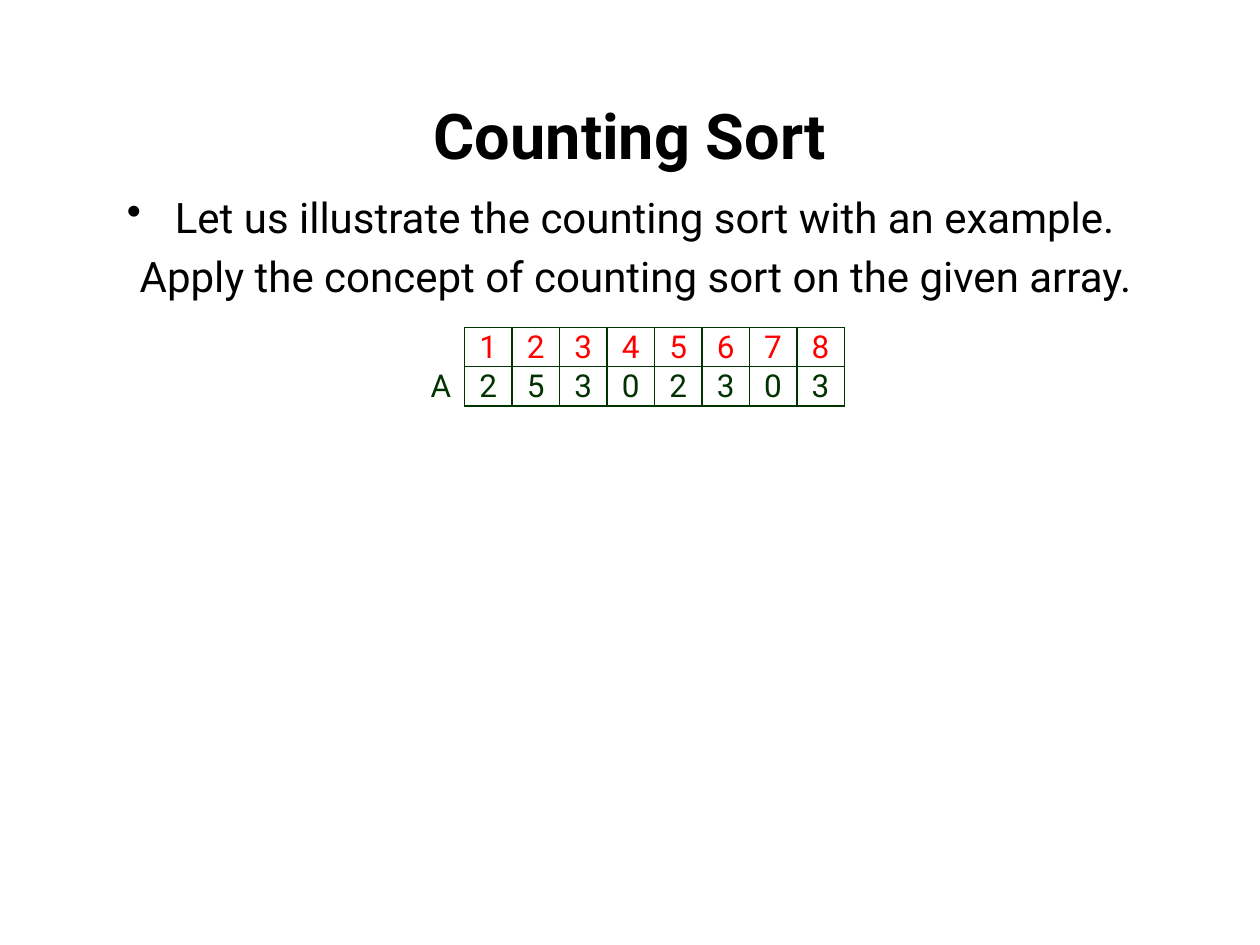
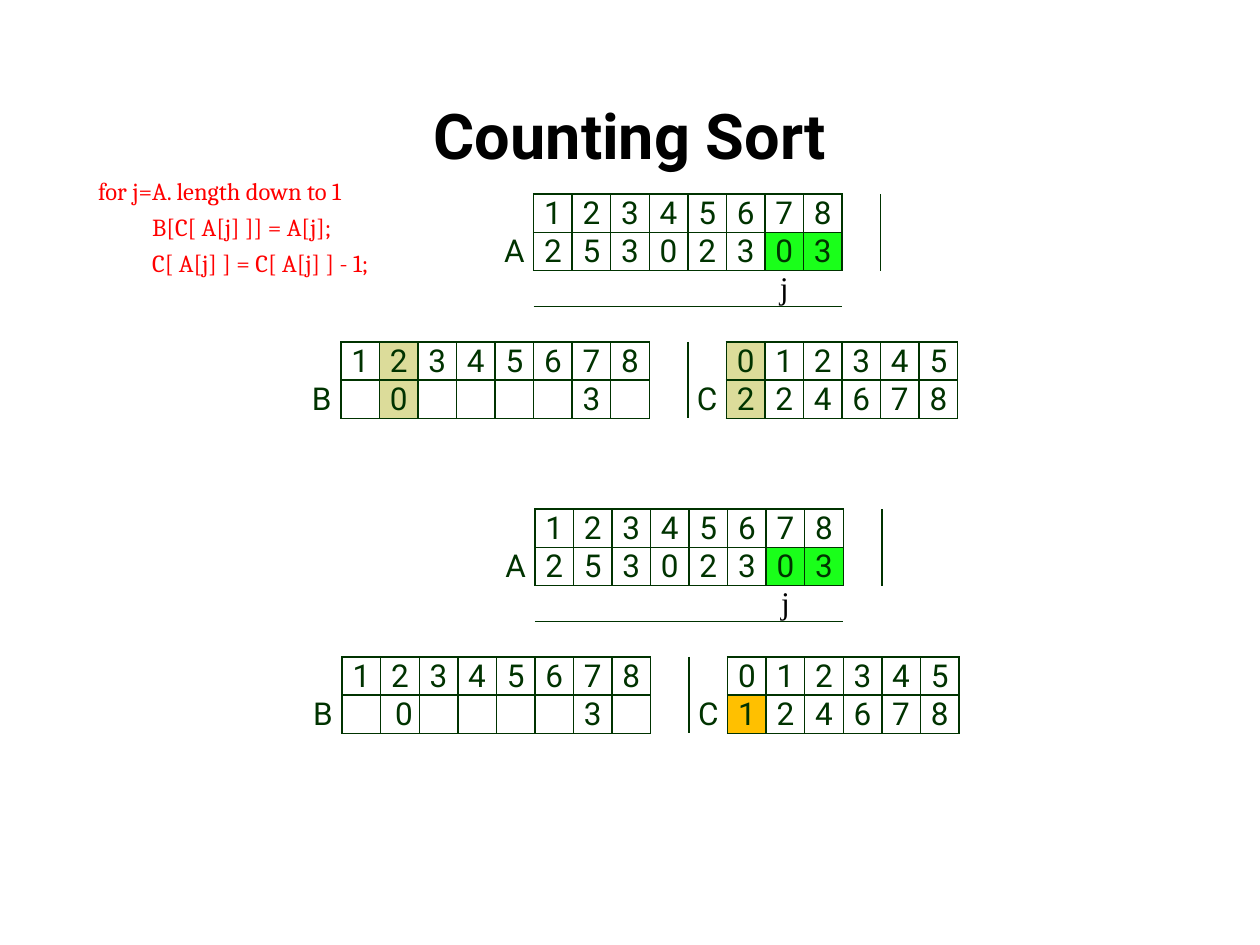
from collections.abc import Sequence
from dataclasses import dataclass, field

from pptx import Presentation
from pptx.dml.color import RGBColor
from pptx.enum.text import MSO_ANCHOR, PP_ALIGN
from pptx.oxml.xmlchemy import OxmlElement
from pptx.util import Inches, Pt

COLORS = {
    "black": "000000",
    "red": "FF0000",
    "ink": "003300",
    "done": "1AFF1A",
    "current": "DCDC9A",
    "updated": "FFC000",
}
FONT, CODE_FONT, INDEX_FONT = "Roboto", "Cambria", "Times New Roman"
EDGES = ("L", "R", "T", "B")
ROW_H, GAP_H = 0.3, 0.28


@dataclass
class Array:
    """A labelled array: a row of indices above a row of values."""
    label: str
    row: int
    col: int
    indices: Sequence[str]
    values: Sequence[str]
    index_color: str = "ink"


@dataclass
class Grid:
    """One table that holds arrays and a few separate rules."""
    left: float
    top: float
    col_w: float
    row_heights: list[float]
    cols: int
    arrays: list[Array]
    fills: dict[tuple[int, int], str] = field(default_factory=dict)
    pointer: tuple[int, int] | None = None
    rules_right: set[tuple[int, int]] = field(default_factory=set)
    rules_below: set[tuple[int, int]] = field(default_factory=set)


def style_runs(p, size: float, color: str, font: str = FONT, bold: bool = False) -> None:
    for r in p.runs:
        r.font.size = Pt(size)
        r.font.name = font
        r.font.bold = bold
        r.font.color.rgb = RGBColor.from_string(COLORS[color])


def add_title_slide(prs, title: str):
    s = prs.slides.add_slide(prs.slide_layouts[5])
    sp = s.shapes.title
    sp.left, sp.top, sp.width, sp.height = (Inches(v) for v in (0.5, 0.44, 9, 1.25))
    tf = sp.text_frame
    tf.text = title
    tf.vertical_anchor = MSO_ANCHOR.MIDDLE
    tf.paragraphs[0].alignment = PP_ALIGN.CENTER
    style_runs(tf.paragraphs[0], 36, "black", bold=True)
    return s


def add_text(s, left: float, top: float, width: float, height: float, lines: list[str]):
    sp = s.shapes.add_textbox(Inches(left), Inches(top), Inches(width), Inches(height))
    tf = sp.text_frame
    tf.word_wrap = True
    tf.text = "\n".join(lines)
    return tf.paragraphs


def indent(p, left: float, first: float = 0) -> None:
    pPr = p._p.get_or_add_pPr()
    pPr.set("marL", str(Inches(left)))
    pPr.set("indent", str(Inches(first)))


def add_bullet(p) -> None:
    bullet = OxmlElement("a:buChar")
    bullet.set("char", "•")
    p._p.get_or_add_pPr().append(bullet)


def set_border(cell, edge: str, visible: bool) -> None:
    ln = OxmlElement(f"a:ln{edge}")
    ln.set("w", str(Pt(1)))
    fill = OxmlElement("a:solidFill" if visible else "a:noFill")
    if visible:
        color = OxmlElement("a:srgbClr")
        color.set("val", COLORS["ink"])
        fill.append(color)
    ln.append(fill)
    cell._tc.get_or_add_tcPr().append(ln)


def set_cell_text(cell, text: str, color: str, font: str) -> None:
    cell.margin_left = cell.margin_right = cell.margin_top = Inches(0.01)
    cell.margin_bottom = 0
    p = cell.text_frame.paragraphs[0]
    p.alignment = PP_ALIGN.CENTER
    if text:
        p.text = text
        style_runs(p, 18, color, font)
    else:  # keep empty cells from stretching their row
        end = OxmlElement("a:endParaRPr")
        end.set("sz", "1000")
        p._p.append(end)


def add_grid(s, grid: Grid) -> None:
    # Place the contents of the arrays
    texts: dict[tuple[int, int], tuple[str, str, str]] = {}
    boxed: set[tuple[int, int]] = set()
    for a in grid.arrays:
        texts[a.row + 1, a.col - 1] = (a.label, "ink", FONT)
        for i, (index, value) in enumerate(zip(a.indices, a.values)):
            texts[a.row, a.col + i] = (index, a.index_color, FONT)
            texts[a.row + 1, a.col + i] = (value, "ink", FONT)
            boxed |= {(a.row, a.col + i), (a.row + 1, a.col + i)}
    if grid.pointer:
        texts[grid.pointer] = ("j", "black", INDEX_FONT)

    # Build the table
    rows = len(grid.row_heights)
    table = s.shapes.add_table(
        rows, grid.cols, Inches(grid.left), Inches(grid.top),
        Inches(grid.col_w * grid.cols), Inches(sum(grid.row_heights))).table
    table.first_row = table.horz_banding = False
    for column in table.columns:
        column.width = Inches(grid.col_w)
    for row, height in zip(table.rows, grid.row_heights):
        row.height = Inches(height)

    # Fill the cells; both sides of an edge agree on its line
    for r in range(rows):
        for c in range(grid.cols):
            cell, here = table.cell(r, c), (r, c)
            left, right, above, below = (r, c - 1), (r, c + 1), (r - 1, c), (r + 1, c)
            set_cell_text(cell, *texts.get(here, ("", "ink", FONT)))
            ruled = (left in grid.rules_right, here in grid.rules_right,
                     above in grid.rules_below, here in grid.rules_below)
            for edge, near, rule in zip(EDGES, (left, right, above, below), ruled):
                set_border(cell, edge, rule or here in boxed or near in boxed)
            if here in grid.fills:
                cell.fill.solid()
                cell.fill.fore_color.rgb = RGBColor.from_string(COLORS[grid.fills[here]])
            else:
                cell.fill.background()


INDICES = "12345678"
A_VALUES = "25302303"


def step_grid(left: float, top: float, b_values: Sequence[str], c_values: str,
              fills: dict[tuple[int, int], str]) -> Grid:
    """Arrays A, B and C at one step, with j under A[7]."""
    return Grid(
        left, top, 0.306, [ROW_H] * 2 + [GAP_H] * 2 + [ROW_H] * 2, 17,
        [Array("A", 0, 6, INDICES, A_VALUES),
         Array("B", 4, 1, INDICES, b_values),
         Array("C", 4, 11, "012345", c_values)],
        {(1, 12): "done", (1, 13): "done", **fills},
        pointer=(2, 12),
        rules_right={(0, 14), (1, 14), (4, 9), (5, 9)},
        rules_below={(2, c) for c in range(6, 14)})


def build_example(prs) -> None:
    s = add_title_slide(prs, "Counting Sort")
    intro, task = add_text(s, 0.91, 1.47, 8.27, 1.1, [
        "Let us illustrate the counting sort with an example.",
        "Apply the concept of counting sort on the given array."])
    for p in (intro, task):
        p.space_before = Pt(4.8)
        style_runs(p, 24, "black")
    indent(intro, 0.38, -0.38)
    add_bullet(intro)
    task.alignment = PP_ALIGN.CENTER
    add_grid(s, Grid(3.31, 2.6, 0.377, [ROW_H] * 2, 9,
                     [Array("A", 0, 1, INDICES, A_VALUES, "red")]))


def build_step(prs) -> None:
    s = add_title_slide(prs, "Counting Sort")
    # Before and after C[0] is decremented
    add_grid(s, step_grid(2.4, 1.54, ["", "0", "", "", "", "", "3", ""], "224678", {
        (4, 2): "current", (5, 2): "current", (4, 11): "current", (5, 11): "current"}))
    add_grid(s, step_grid(2.41, 4.04, ["", " 0", "", "", "", "", "3", ""], "124678", {
        (5, 11): "updated"}))

    # Loop of the algorithm
    code = add_text(s, 0.67, 1.3, 8.43, 0.93, [
        "for j=A. length down to 1",
        "B[C[ A[j] ]] = A[j];",
        "C[ A[j] ] = C[ A[j] ] - 1;"])
    for p, left in zip(code, (0.01, 0.44, 0.44)):
        indent(p, left)
        p.line_spacing = 1.21
        p.space_before = Pt(0.1)
        style_runs(p, 14, "red", CODE_FONT)


def main() -> None:
    prs = Presentation()
    prs.slide_width, prs.slide_height = Inches(10), Inches(7.5)
    build_example(prs)
    build_step(prs)
    prs.save("out.pptx")


if __name__ == "__main__":
    main()
